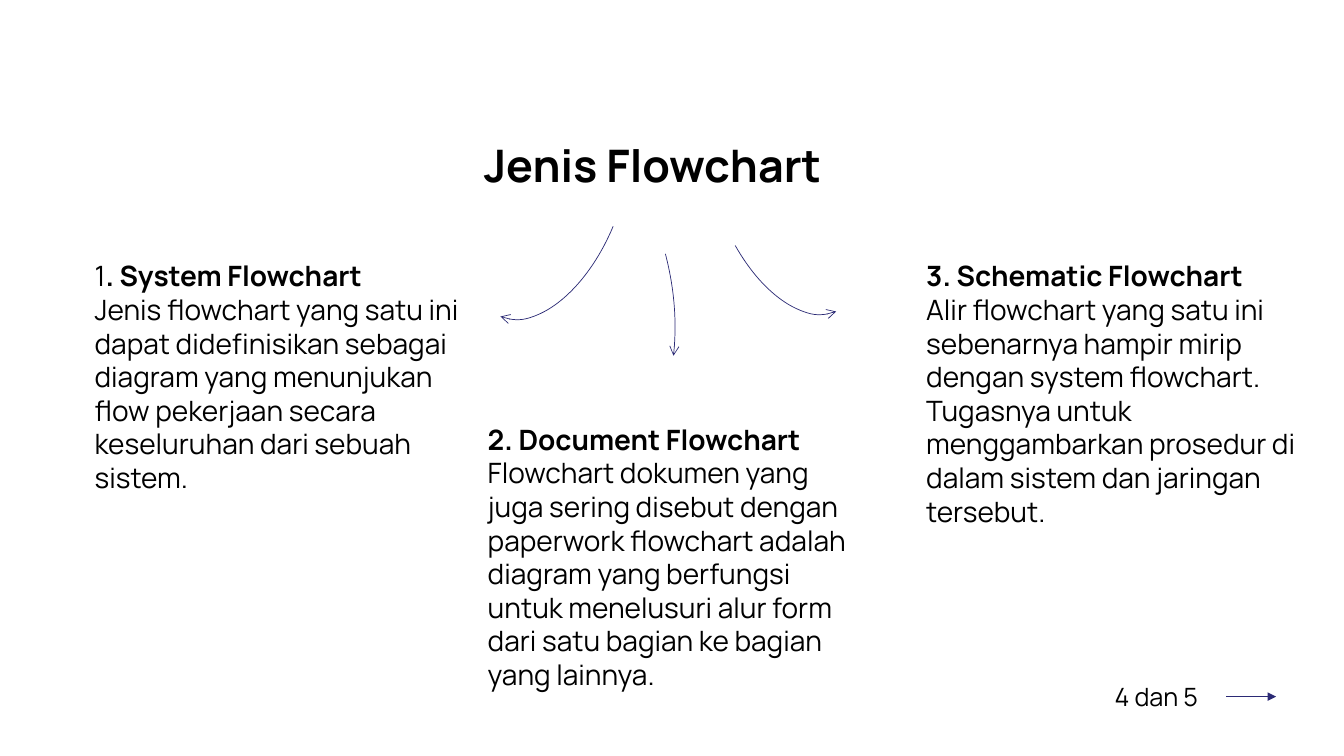
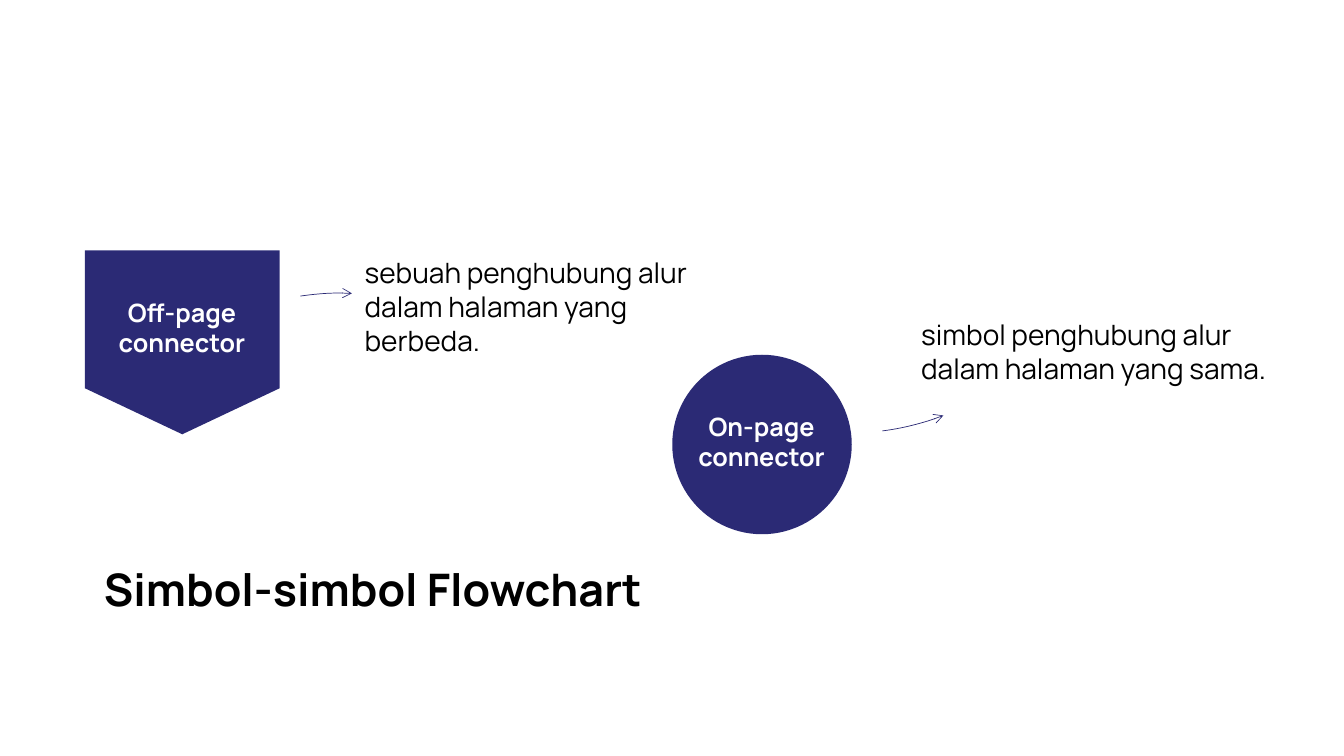
from dataclasses import dataclass
from typing import NamedTuple

from lxml import etree
from pptx import Presentation
from pptx import util as u
from pptx.dml.color import RGBColor
from pptx.enum import shapes, text
from pptx.oxml import ns

FONT = "Manrope"
BLACK = RGBColor(0, 0, 0)
WHITE = RGBColor(255, 255, 255)
NAVY = RGBColor(0x2B, 0x2A, 0x75)
TITLE_SIZE, BODY_SIZE, LABEL_SIZE = 32, 20, 18
LINE_WIDTH = 0.5
PANEL_WIDTH = 281.5
NOTE_WIDTH = 279.4
LABEL_WIDTH, LABEL_HEIGHT = 139, 51


class Place(NamedTuple):
    left: float
    top: float
    width: float
    height: float

    def lengths(self) -> list:
        return [u.Pt(value) for value in self]


class Span(NamedTuple):
    words: str
    bold: bool = False


@dataclass(frozen=True)
class Panel:
    place: Place
    heading: tuple
    body: str


@dataclass(frozen=True)
class Arc:
    place: Place
    rotation: float
    start: float = 162
    end: float = 0
    flip: str = ""


@dataclass(frozen=True)
class Symbol:
    kind: shapes.MSO_SHAPE
    place: Place
    rotation: float
    label: str
    label_place: Place
    note: str
    note_place: Place
    arrow: Arc


PANELS = (
    Panel(
        Place(60.5, 181.4, PANEL_WIDTH, 177),
        (Span("1"), Span(". System Flowchart", True)),
        "Jenis flowchart yang satu ini dapat didefinisikan sebagai diagram yang "
        "menunjukan flow pekerjaan secara keseluruhan dari sebuah sistem.",
    ),
    Panel(
        Place(341.3, 298.1, PANEL_WIDTH, 201),
        (Span("2. Document Flowchart", True),),
        "Flowchart dokumen yang juga sering disebut dengan paperwork flowchart adalah "
        "diagram yang berfungsi untuk menelusuri alur form dari satu bagian ke bagian "
        "yang lainnya.",
    ),
    Panel(
        Place(654.5, 181.4, PANEL_WIDTH, 201),
        (Span("3. Schematic Flowchart", True),),
        "Alir flowchart yang satu ini sebenarnya hampir mirip dengan system flowchart. "
        "Tugasnya untuk menggambarkan prosedur di dalam sistem dan jaringan tersebut.",
    ),
)

BRANCHES = (
    Arc(Place(301.7, 92.9, 180.7, 99.4), 112.5),
    Arc(Place(253.4, 116.6, 276.5, 172.8), 75.5, 162, 188.55),
    Arc(Place(472.3, 89.3, 180.7, 99.4), 247.5, 174.97, 0, "flipH"),
)

SYMBOLS = (
    Symbol(
        shapes.MSO_SHAPE.PENTAGON,
        Place(64.5, 175, 131.4, 139),
        90,
        "Off-page connector",
        Place(60.5, 208.8, LABEL_WIDTH, LABEL_HEIGHT),
        "sebuah penghubung alur dalam halaman yang berbeda.",
        Place(253.4, 179.3, NOTE_WIDTH, 80),
        Arc(Place(157.7, 210.2, 137.5, 49), 354.2, 149.18, 192.38),
    ),
    Symbol(
        shapes.MSO_SHAPE.OVAL,
        Place(480.2, 253.4, 128.2, 128.2),
        0,
        "On-page connector",
        Place(474.5, 290.2, LABEL_WIDTH, LABEL_HEIGHT),
        "simbol penghubung alur dalam halaman yang sama.",
        Place(650.9, 223.2, NOTE_WIDTH, 55.4),
        Arc(Place(581.8, 254.2, 137.5, 49), 344.3, 131.65, 183.87, "flipV"),
    ),
)


def add_text(page, place: Place, lines: tuple, size: float,
             color: RGBColor = BLACK, centred: bool = False):
    box = page.shapes.add_textbox(*place.lengths())
    frame = box.text_frame
    frame.word_wrap = True
    frame.auto_size = text.MSO_AUTO_SIZE.SHAPE_TO_FIT_TEXT
    for index, line in enumerate(lines):
        para = frame.add_paragraph() if index else frame.paragraphs[0]
        para.alignment = text.PP_ALIGN.CENTER if centred else text.PP_ALIGN.LEFT
        for part in line:
            span = para.add_run()
            span.text = part.words
            span.font.name = FONT
            span.font.size = u.Pt(size)
            span.font.bold = part.bold
            span.font.color.rgb = color
    return box


def add_title(page, words: str, place: Place) -> None:
    add_text(page, place, ((Span(words, True),),), TITLE_SIZE, centred=True)


def style_line(shape, head: str) -> None:
    shape.line.color.rgb = NAVY
    shape.line.width = u.Pt(LINE_WIDTH)
    etree.SubElement(shape.line._get_or_add_ln(), ns.qn("a:tailEnd"), type=head)


def add_arc(page, arc: Arc) -> None:
    shape = page.shapes.add_shape(shapes.MSO_SHAPE.ARC, *arc.place.lengths())
    shape.shadow.inherit = False
    shape.fill.background()
    shape.rotation = arc.rotation
    shape.adjustments[0] = arc.start
    shape.adjustments[1] = arc.end
    if arc.flip:
        shape.element.spPr.find(ns.qn("a:xfrm")).set(arc.flip, "1")
    style_line(shape, "arrow")


def add_symbol(page, symbol: Symbol) -> None:
    shape = page.shapes.add_shape(symbol.kind, *symbol.place.lengths())
    shape.shadow.inherit = False
    shape.fill.solid()
    shape.fill.fore_color.rgb = NAVY
    shape.line.fill.background()
    shape.rotation = symbol.rotation
    if symbol.kind == shapes.MSO_SHAPE.PENTAGON:
        shape.adjustments[0] = 0.25
    add_text(page, symbol.label_place, ((Span(symbol.label, True),),),
             LABEL_SIZE, WHITE, True)
    add_text(page, symbol.note_place, ((Span(symbol.note),),), BODY_SIZE)
    add_arc(page, symbol.arrow)


def add_next_pointer(page, words: str) -> None:
    place = Place(789.1, 483.1, 86.8, 29)
    box = add_text(page, place, ((Span(words),),), LABEL_SIZE)
    middle = u.Pt(place.top + place.height / 2)
    arrow = page.shapes.add_connector(
        shapes.MSO_CONNECTOR.STRAIGHT,
        u.Pt(place.left + place.width), middle, u.Pt(911.5), middle)
    arrow.begin_connect(box, 3)
    style_line(arrow, "triangle")
    etree.SubElement(arrow.element.spPr, ns.qn("a:effectLst"))


def build_types(page) -> None:
    add_title(page, "Jenis Flowchart", Place(326.2, 95, 280, 46))
    for panel in PANELS:
        add_text(page, panel.place, (panel.heading, (Span(panel.body),)), BODY_SIZE)
    for branch in BRANCHES:
        add_arc(page, branch)
    add_next_pointer(page, "4 dan 5")


def build_symbols(page) -> None:
    add_title(page, "Simbol-simbol Flowchart", Place(60.5, 397.4, 412, 46))
    for symbol in SYMBOLS:
        add_symbol(page, symbol)


def main() -> None:
    deck = Presentation()
    deck.slide_width, deck.slide_height = u.Pt(960), u.Pt(540)
    for build in (build_types, build_symbols):
        build(deck.slides.add_slide(deck.slide_layouts[6]))
    deck.save("out.pptx")


if __name__ == "__main__":
    main()
